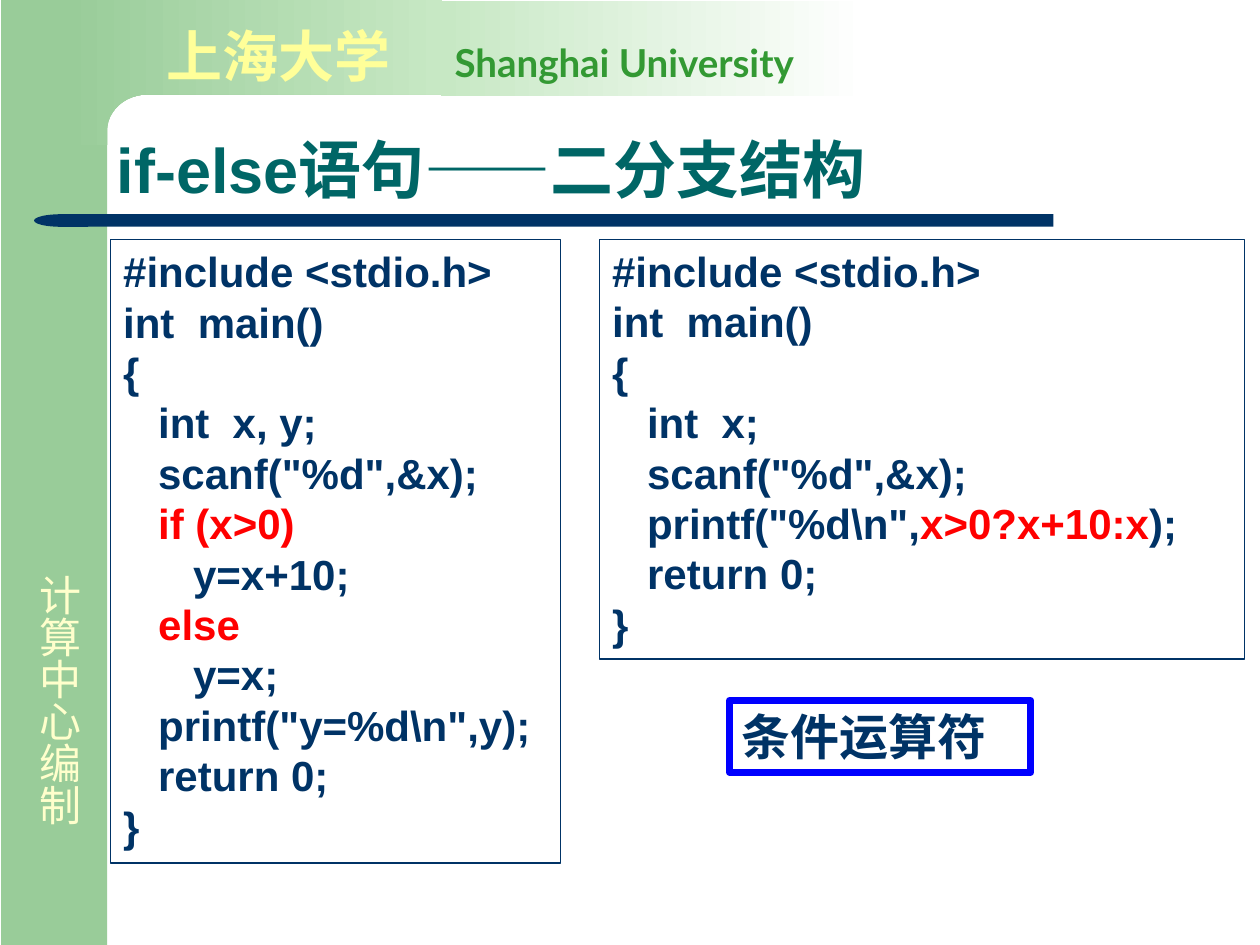
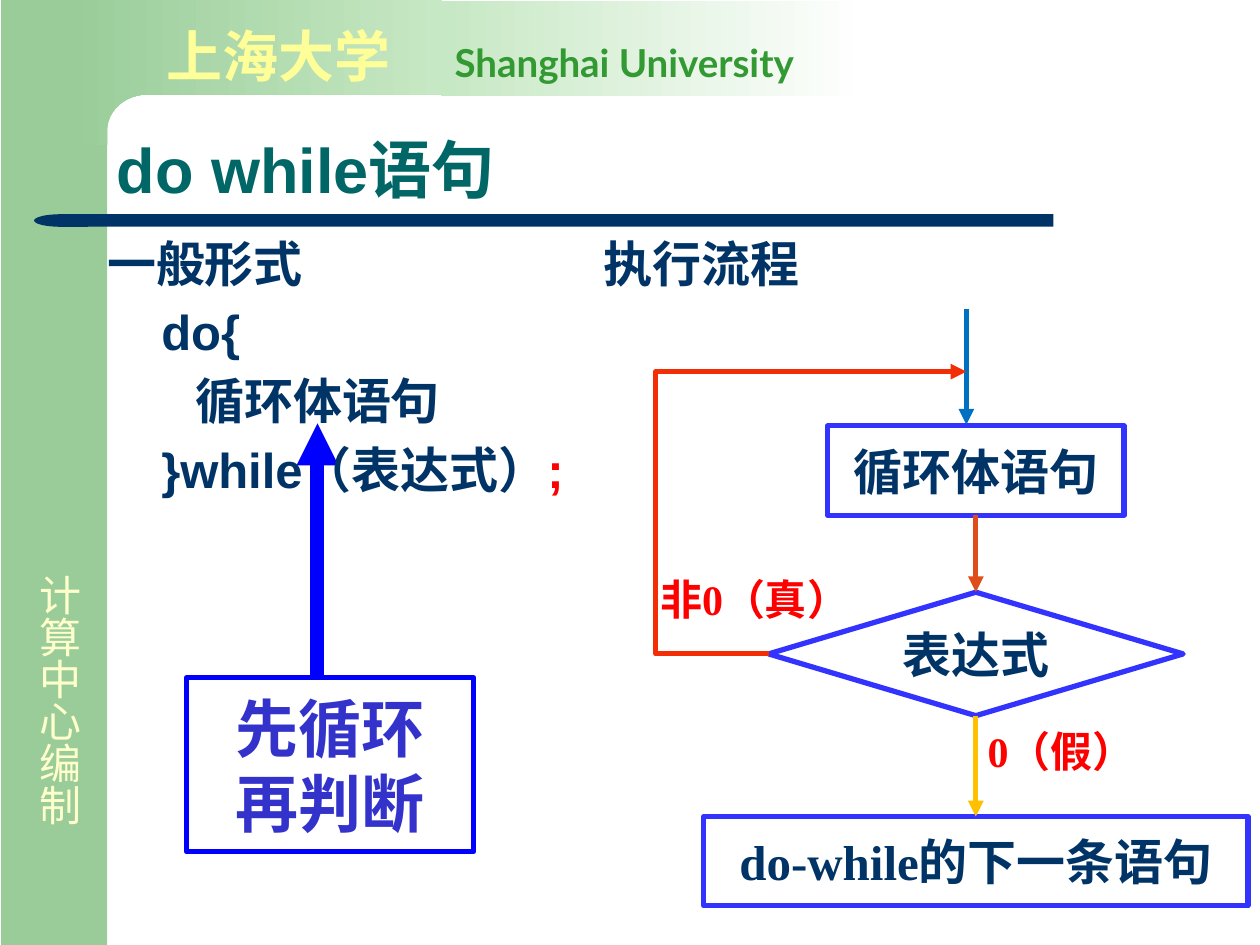
from math import cos, pi, sin

from lxml.etree import SubElement
from pptx import Presentation
from pptx.dml.color import RGBColor
from pptx.enum.shapes import MSO_CONNECTOR, MSO_SHAPE
from pptx.enum.text import MSO_ANCHOR, PP_ALIGN
from pptx.oxml.ns import qn
from pptx.util import Inches, Pt

COLS, ROWS = 100, 75
CELL = Inches(0.1)

NAVY = RGBColor(0x00, 0x33, 0x66)
TEAL = RGBColor(0x00, 0x66, 0x66)
SAGE = RGBColor(0x99, 0xCC, 0x99)
MINT = RGBColor(0xC7, 0xE8, 0xC4)
LEAF = RGBColor(0x33, 0x99, 0x33)
CREAM = RGBColor(0xFF, 0xFF, 0xCC)
LEMON = RGBColor(0xFF, 0xFF, 0x99)
WHITE = RGBColor(0xFF, 0xFF, 0xFF)
RED = RGBColor(0xFF, 0x00, 0x00)
BLUE = RGBColor(0x00, 0x00, 0xFF)
INDIGO = RGBColor(0x33, 0x33, 0xCC)
FLOW_BLUE = RGBColor(0x33, 0x33, 0xFF)
ENTRY_BLUE = RGBColor(0x00, 0x70, 0xC0)
RUST = RGBColor(0xDE, 0x4D, 0x1A)
LOOP_RED = RGBColor(0xF3, 0x2D, 0x05)
AMBER = RGBColor(0xFF, 0xC0, 0x00)

SANS, SERIF, LATO = "Arial", "Times New Roman", "Lato"

IF_ELSE_CODE = [
    "#include <stdio.h>",
    "int  main()",
    "{",
    "   int  x, y;",
    '   scanf("%d",&x);',
    ("", "   if (x>0)"),
    "      y=x+10;",
    ("   ", "else"),
    "      y=x;",
    '   printf("y=%d\\n",y);',
    "   return 0;",
    "}",
]
TERNARY_CODE = [
    "#include <stdio.h>",
    "int  main()",
    "{",
    "   int  x;",
    '   scanf("%d",&x);',
    ('   printf("%d\\n",', "x>0?x+10:x", ");"),
    "   return 0;",
    "}",
]


def cells(*values):
    """Turn grid cells into lengths."""
    return [round(v * CELL) for v in values]


def set_font(font, size, color, name=SANS, bold=True):
    """Style a paragraph or run font."""
    font.size, font.name, font.bold = Pt(size), name, bold
    font.color.rgb = color


def add_tab(p, col):
    """Give a paragraph one left tab stop."""
    tabs = SubElement(p._p.get_or_add_pPr(), qn("a:tabLst"))
    SubElement(tabs, qn("a:tab"), pos=str(cells(col)[0]), algn="l")


def add_runs(p, line):
    """Fill a paragraph; every second piece of a tuple is red."""
    pieces = (line,) if isinstance(line, str) else line
    for i, piece in enumerate(pieces):
        if piece:
            r = p.add_run()
            r.text = piece
            if i % 2:
                r.font.color.rgb = RED


def write(tf, lines, size, color=NAVY, name=SANS, bold=True, align=PP_ALIGN.LEFT):
    """Write one paragraph per line in a common style."""
    for i, line in enumerate(lines):
        p = tf.paragraphs[0] if i == 0 else tf.add_paragraph()
        p.alignment = align
        add_runs(p, line)
        set_font(p.font, size, color, name, bold)


def outline(sp, color, width):
    """Draw a shape's border."""
    sp.line.color.rgb = color
    sp.line.width = Pt(width)


def add_text(s, at, lines, size, **style):
    """Add a wrapped text box."""
    sp = s.shapes.add_textbox(*cells(*at))
    sp.text_frame.word_wrap = True
    write(sp.text_frame, lines, size, **style)
    return sp


def add_framed_text(s, at, lines, size, color=NAVY, width=0.75):
    """Add a text box with a border."""
    outline(add_text(s, at, lines, size), color, width)


def add_flow_text(s, at, text):
    """Add a one-line label beside a flow line."""
    sp = add_text(s, at, [text], 24, color=RED, name=SERIF)
    sp.text_frame.vertical_anchor = MSO_ANCHOR.MIDDLE


def add_node(s, kind, at, lines, size=28, color=NAVY, name=SERIF, border=FLOW_BLUE):
    """Add an unfilled outlined shape with centred text."""
    sp = s.shapes.add_shape(kind, *cells(*at))
    sp.shadow.inherit = False
    sp.fill.background()
    outline(sp, border, 3)
    tf = sp.text_frame
    tf.word_wrap, tf.vertical_anchor = False, MSO_ANCHOR.MIDDLE
    write(tf, lines, size, color, name, align=PP_ALIGN.CENTER)
    return sp


def paint(sp, *colors):
    """Fill a borderless shape with one colour or a left-to-right gradient."""
    sp.shadow.inherit = False
    sp.line.fill.background()
    if len(colors) == 1:
        sp.fill.solid()
        sp.fill.fore_color.rgb = colors[0]
        return
    sp.fill.gradient()
    sp.fill.gradient_angle = 0
    for stop, color in zip(sp.fill.gradient_stops, colors):
        stop.color.rgb = color


def add_band(s, at, *colors, kind=MSO_SHAPE.RECTANGLE):
    """Add a plain decorative shape."""
    sp = s.shapes.add_shape(kind, *cells(*at))
    paint(sp, *colors)
    return sp


def add_arrow(s, start, end, color, width=3, kind=MSO_CONNECTOR.STRAIGHT):
    """Add a connector with a triangle at its end."""
    cxn = s.shapes.add_connector(kind, *cells(*start, *end))
    outline(cxn, color, width)
    SubElement(cxn.line._get_or_add_ln(), qn("a:tailEnd"), type="triangle")
    SubElement(cxn._element.spPr, qn("a:effectLst"))
    return cxn


def join_down(s, upper, lower, color):
    """Link the bottom of one node to the top of the next."""
    cxn = add_arrow(s, (0, 0), (1, 1), color)
    cxn.begin_connect(upper, 2)
    cxn.end_connect(lower, 0)


def add_corner(s):
    """Add the header piece with its rounded inner corner."""
    arc = [(11.7 - 3.2 * sin(a), 10.4 - 2.9 * cos(a))
           for a in (pi / 2 * i / 12 for i in range(13))]
    points = [(35.1, 7.5), *arc, (8.5, 11.5), (5.1, 11.5), (5.1, 0)]
    fb = s.shapes.build_freeform(*cells(35.1, 0))
    fb.add_line_segments([cells(*point) for point in points], close=True)
    paint(fb.convert_to_shape(), SAGE, MINT)


def add_header(s):
    """Add the university name in two languages."""
    tf = add_text(s, (12.2, 1.2, 61.4, 6.3), [], 32).text_frame
    p = tf.paragraphs[0]
    add_tab(p, 22.9)
    p.font.bold = True
    for text, size, color, name in (("上海大学\t", 32, LEMON, SANS),
                                    ("Shanghai University", 22, LEAF, LATO)):
        r = p.add_run()
        r.text = text
        set_font(r.font, size, color, name)


def add_page(prs, title):
    """Add a slide with the shared bands, names and title."""
    s = prs.slides.add_slide(prs.slide_layouts[6])
    add_band(s, (0.1, 0, 8.4, ROWS), SAGE)
    add_corner(s)
    add_band(s, (6.9, 17, 76.7, 1), NAVY)
    add_band(s, (2.7, 17, 4.3, 1), NAVY, kind=MSO_SHAPE.FLOWCHART_DELAY).rotation = 180
    side = add_text(s, (1.2, 44.6, 6, 22.8), ["计算中心编制"], 24, color=CREAM, bold=False)
    side._element.txBody.find(qn("a:bodyPr")).set("vert", "eaVert")
    add_band(s, (35, 0.1, 33.9, 7.5), MINT, WHITE)
    add_header(s)
    tf = add_text(s, (8.3, 8.4, 86.7, 8.5), [title], 36, color=TEAL).text_frame
    tf.vertical_anchor = MSO_ANCHOR.BOTTOM
    tf.paragraphs[0].line_spacing = 0.9
    return s


def add_syntax(s):
    """Add the general form of the loop and the flow chart's heading."""
    tf = s.shapes.add_textbox(*cells(8.3, 18.4, 85.8, 24.6)).text_frame
    tf.word_wrap = True
    tf.margin_left = tf.margin_right = Inches(0.02)
    tf.margin_top = tf.margin_bottom = Inches(0.01)
    lines = [("一般形式\t执行流程", 0), ("do{", 4.3), ("循环体语句", 7),
             (("}while（表达式）", ";"), 4.3)]
    for i, (line, indent) in enumerate(lines):
        p = tf.add_paragraph() if i else tf.paragraphs[0]
        p._p.get_or_add_pPr().set("marL", str(cells(indent)[0]))
        if i:
            p.space_before = Pt(5.6)
        else:
            add_tab(p, 39.4)
        add_runs(p, line)
        set_font(p.font, 28, NAVY)


def add_flow_chart(s):
    """Add the do-while flow chart."""
    test = add_node(s, MSO_SHAPE.FLOWCHART_DECISION, (61, 47, 32.9, 9.8), ["表达式"])
    body = add_node(s, MSO_SHAPE.RECTANGLE, (65.7, 33.8, 23.5, 7.1), ["循环体语句"])
    add_flow_text(s, (77.4, 56.8, 18, 5.6), "0（假）")
    add_flow_text(s, (51.4, 44.3, 20, 6.4), "非0（真）")
    join_down(s, body, test, RUST)
    add_arrow(s, (76.7, 24.5), (76.7, 33.7), ENTRY_BLUE)
    loop = add_arrow(s, (61, 51.9), (76.7, 29.5), LOOP_RED, kind=MSO_CONNECTOR.ELBOW)
    loop.begin_connect(test, 1)
    bend = loop._element.spPr.find(qn("a:prstGeom")).find(qn("a:avLst"))
    SubElement(bend, qn("a:gd"), name="adj1", fmla="val -57000")
    after = add_node(s, MSO_SHAPE.RECTANGLE, (55.85, 64.8, 43.2, 7.1),
                     ["do-while的下一条语句"])
    join_down(s, test, after, AMBER)


def main():
    """Build and save both slides."""
    prs = Presentation()
    prs.slide_width, prs.slide_height = cells(COLS, ROWS)

    s = add_page(prs, "if-else语句——二分支结构")
    add_framed_text(s, (8.8, 19, 35.7, 49.5), IF_ELSE_CODE, 24)
    add_framed_text(s, (47.6, 19, 51.2, 33.3), TERNARY_CODE, 24)
    add_framed_text(s, (57.9, 55.6, 23.9, 5.7), ["条件运算符"], 28, BLUE, 4)

    s = add_page(prs, "do while语句")
    add_arrow(s, (25.2, 53.8), (25.2, 33.6), BLUE, 8)
    add_node(s, MSO_SHAPE.RECTANGLE, (14.8, 53.8, 22.8, 13.8), ["先循环", "再判断"],
             36, INDIGO, SANS, BLUE)
    add_syntax(s)
    add_flow_chart(s)

    prs.save("out.pptx")


if __name__ == "__main__":
    main()
